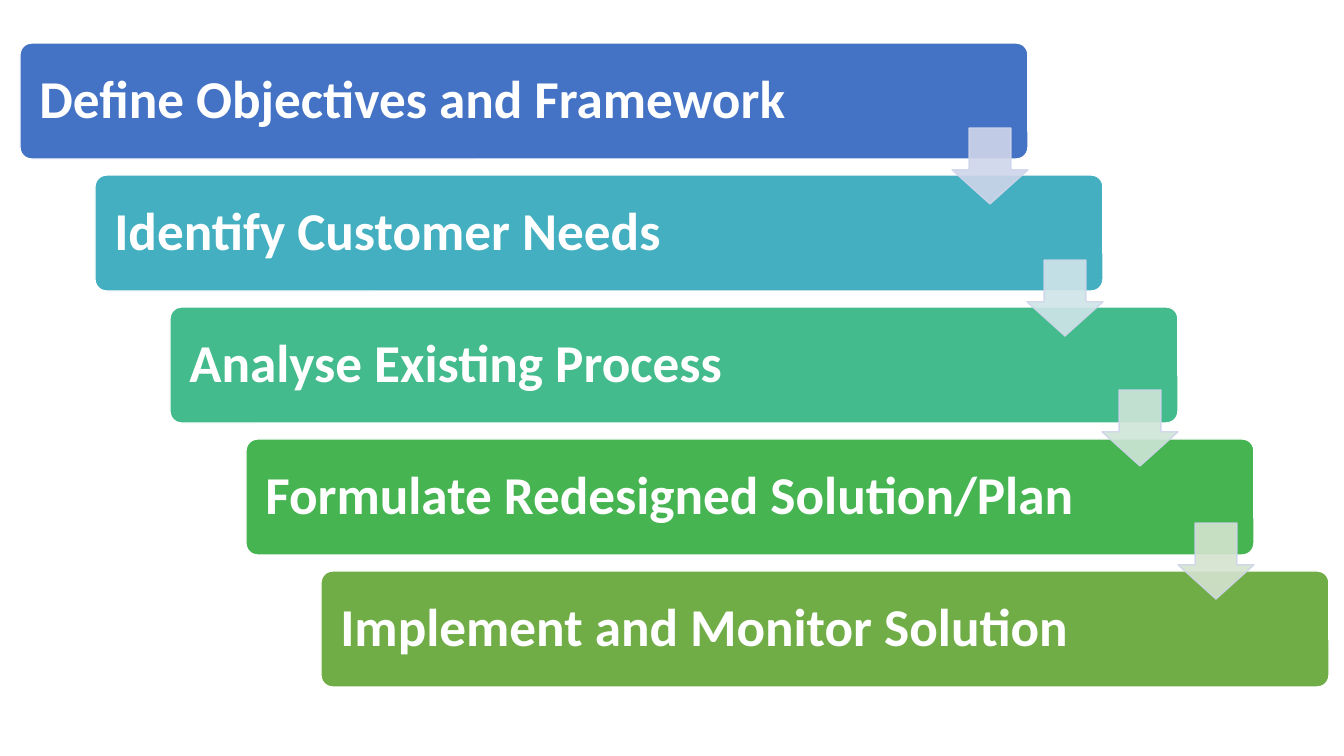
import pptx
import pptx.dml.color
import pptx.enum.shapes
import pptx.enum.text
import pptx.oxml.ns
import pptx.util
import lxml.etree

EMU_PER_PIXEL = 914400 / 100.8
COLOURS = {
    "white": "FFFFFF", "arrow edge": "CFD5EA",
    "blue": "4472C4", "teal": "43AFC0", "mint": "43BB8D",
    "green": "45B451", "olive": "70AD47",
    "pale blue": "CFD5EA", "pale teal": "CFE5E8",
    "pale mint": "CFE5D8", "pale green": "D5E3CF",
}
# Wording, bar colour, colour of the arrow to the next step, arrow drop below the bar top
STEPS = [
    ("Define Objectives and Framework", "blue", "pale blue", 85),
    ("Identify Customer Needs", "teal", "pale teal", 85),
    ("Analyse Existing Process", "mint", "pale mint", 83),
    ("Formulate Redesigned Solution/Plan", "green", "pale green", 84),
    ("Implement and Monitor Solution", "olive", None, None),
]
BAR_WIDTH, BAR_HEIGHT = 1008, 116
ARROW_OFFSET, ARROW_SIZE = 932, 76


def pixels(length):
    """Turn pixels into EMU."""
    return pptx.util.Emu(round(length * EMU_PER_PIXEL))


def colour(name):
    """Look up a named colour."""
    return pptx.dml.color.RGBColor.from_string(COLOURS[name])


def add_preset(page, kind, box, fill, line, adjustments):
    """Add a flat preset shape in the box (left, top, width, height)."""
    shape = page.shapes.add_shape(kind, *map(pixels, box))
    shape.shadow.inherit = False
    shape.fill.solid()
    shape.fill.fore_color.rgb = colour(fill)
    shape.line.color.rgb = colour(line)
    shape.line.width = pptx.util.Pt(1)
    for index, value in enumerate(adjustments):
        shape.adjustments[index] = value
    return shape


def add_bar(page, box, wording, fill):
    """Add a rounded step bar with its wording at the left."""
    bar = add_preset(page, pptx.enum.shapes.MSO_SHAPE.ROUNDED_RECTANGLE,
                     box, fill, "white", [0.1])
    frame = bar.text_frame
    frame.word_wrap = True
    frame.vertical_anchor = pptx.enum.text.MSO_ANCHOR.MIDDLE
    frame.margin_left = frame.margin_right = pixels(16)
    frame.margin_top = frame.margin_bottom = pixels(16)
    para = frame.paragraphs[0]
    para.alignment = pptx.enum.text.PP_ALIGN.LEFT
    para.line_spacing = 0.9
    span = para.add_run()
    span.text = wording
    span.font.name = "Calibri"
    span.font.size = pptx.util.Pt(38)
    span.font.bold = True
    span.font.color.rgb = colour("white")


def add_arrow(page, box, fill):
    """Add a slightly transparent down arrow."""
    arrow = add_preset(page, pptx.enum.shapes.MSO_SHAPE.DOWN_ARROW,
                       box, fill, "arrow edge", [0.55, 0.45])
    for tint in arrow.element.spPr.iter(pptx.oxml.ns.qn("a:srgbClr")):
        lxml.etree.SubElement(tint, pptx.oxml.ns.qn("a:alpha"), val="90000")


def add_staircase(page, box):
    """Spread the step bars diagonally over the box, then join them with arrows."""
    left, top, width, height = box
    step_x = (width - BAR_WIDTH) / (len(STEPS) - 1)
    step_y = (height - BAR_HEIGHT) / (len(STEPS) - 1)
    corners = [(round(left + index * step_x), round(top + index * step_y))
               for index in range(len(STEPS))]
    for (x, y), (wording, fill, _, _) in zip(corners, STEPS):
        add_bar(page, (x, y, BAR_WIDTH, BAR_HEIGHT), wording, fill)
    for (x, y), (_, _, fill, drop) in zip(corners[:-1], STEPS):
        add_arrow(page, (x + ARROW_OFFSET, y + drop, ARROW_SIZE, ARROW_SIZE), fill)


deck = pptx.Presentation()
deck.slide_width, deck.slide_height = pixels(1344), pixels(756)
page = deck.slides.add_slide(deck.slide_layouts[6])
add_staircase(page, (20, 43, 1309, 644))
deck.save("out.pptx")
